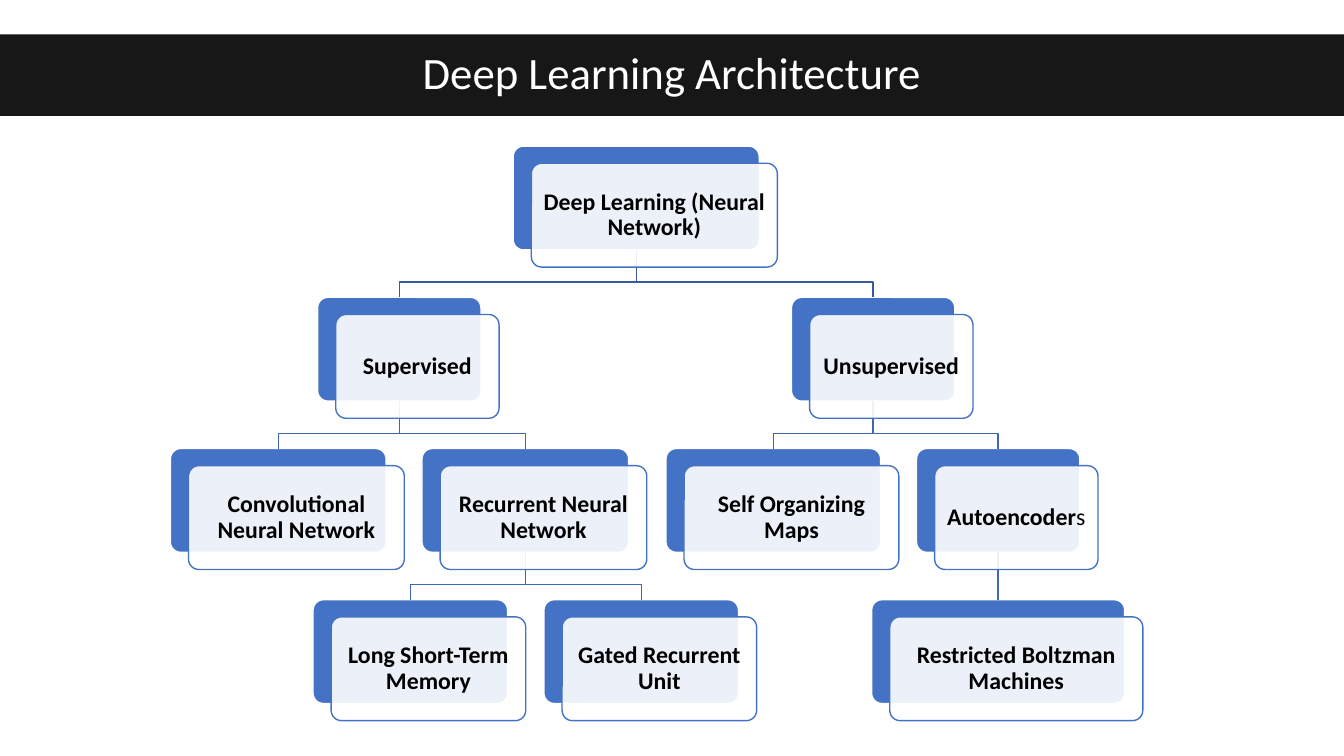
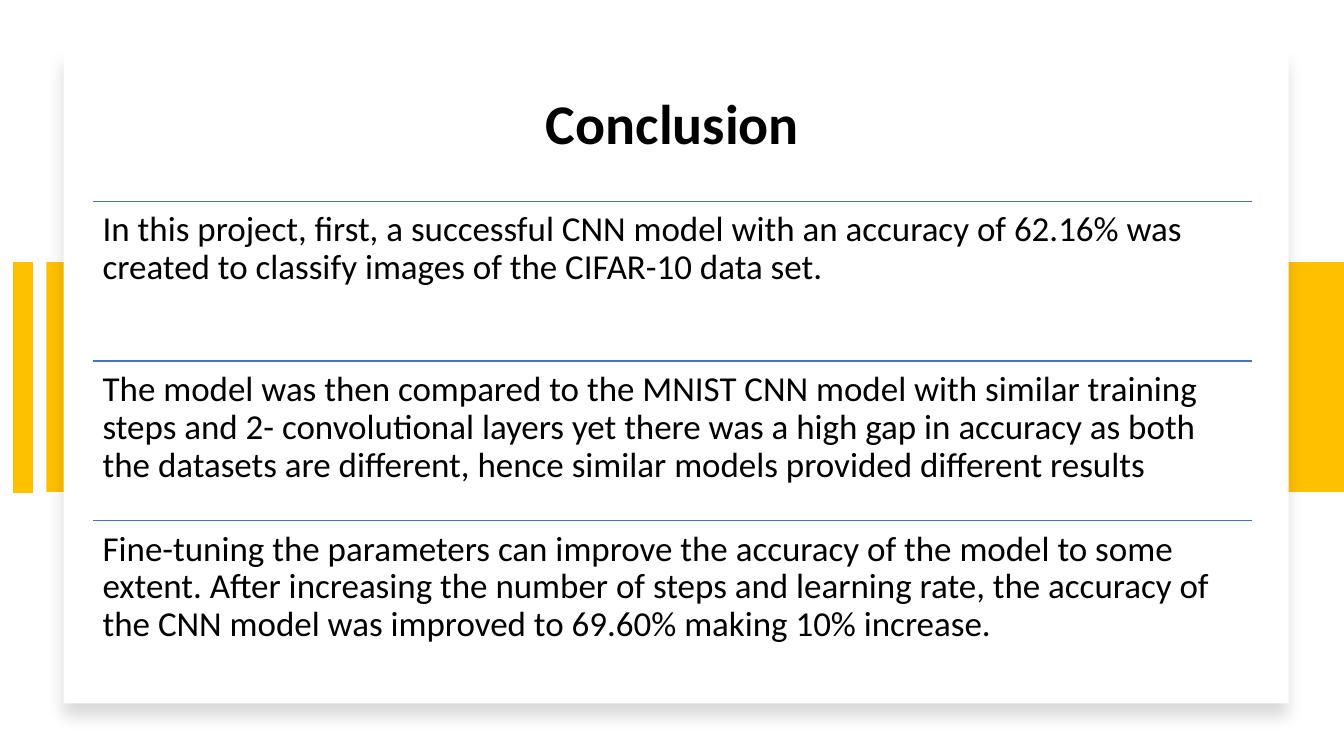
from dataclasses import dataclass

from lxml.etree import SubElement
from pptx import Presentation
from pptx.dml.color import RGBColor
from pptx.enum.shapes import MSO_CONNECTOR as CONNECTOR, MSO_SHAPE as SHAPE
from pptx.enum.text import MSO_ANCHOR as ANCHOR, MSO_AUTO_SIZE as AUTO_SIZE, PP_ALIGN as ALIGN
from pptx.oxml.ns import qn
from pptx.util import Inches, Pt

FONT = "Calibri"
BLACK, WHITE, BLUE, GOLD, CHARCOAL = "000000", "FFFFFF", "4472C4", "FFC000", "181717"
ROOT_LINK, LINK = "365B9D", "3E67B2"
TREE_TOP, LEVEL_STEP, CARD_HEIGHT = 1.45, 1.5, 1.03
LINK_DROP = 0.32
FRONT_DX, FRONT_DY = 0.18, 0.17
ROWS_LEFT, ROWS_TOP, ROWS_WIDTH, ROWS_HEIGHT = 0.92, 2, 11.5, 4.75


@dataclass
class Node:
    """A card of the tree, placed by its centre and level."""
    text: str
    centre: float
    level: int
    width: float
    parent: int | None = None
    plain_tail: str = ""

    @property
    def left(self):
        """Return the left edge of the back card."""
        return self.centre - self.width / 2

    @property
    def top(self):
        """Return the top edge of the back card."""
        return TREE_TOP + self.level * LEVEL_STEP


NODES = [
    Node("Deep Learning (Neural Network)", 6.31, 0, 2.44),
    Node("Supervised", 3.96, 1, 1.62, 0),
    Node("Unsupervised", 8.66, 1, 1.62, 0),
    Node("Convolutional Neural Network", 2.76, 2, 2.14, 1),
    Node("Recurrent Neural Network", 5.21, 2, 2.05, 1),
    Node("Self Organizing Maps", 7.67, 2, 2.13, 2),
    Node("Autoencoder", 9.9, 2, 1.62, 2, "s"),
    Node("Long Short-Term Memory", 4.07, 3, 1.93, 4),
    Node("Gated Recurrent Unit", 6.36, 3, 1.93, 4),
    Node("Restricted Boltzman Machines", 9.9, 3, 2.51, 6),
]

CONCLUSIONS = [
    "In this project, first, a successful CNN model with an accuracy of 62.16% was "
    "created to classify images of the CIFAR-10 data set.",
    "The model was then compared to the MNIST CNN model with similar training steps "
    "and 2- convolutional layers yet there was a high gap in accuracy as both the "
    "datasets are different, hence similar models provided different results",
    "Fine-tuning the parameters can improve the accuracy of the model to some extent. "
    "After increasing the number of steps and learning rate, the accuracy of the CNN "
    "model was improved to 69.60% making 10% increase.",
]


def rgb(value):
    """Turn a hex string into a colour."""
    return RGBColor.from_string(value)


def paint(target, color):
    """Give a shape a solid fill."""
    target.fill.solid()
    target.fill.fore_color.rgb = rgb(color)


def outline(target, color, width=1):
    """Give a shape or connector a solid line."""
    target.line.color.rgb = rgb(color)
    target.line.width = Pt(width)


def style(para, size, color=BLACK, bold=None, align=ALIGN.LEFT):
    """Format a whole paragraph."""
    para.alignment = align
    para.line_spacing = 0.9
    font = para.font
    font.name, font.size, font.bold = FONT, Pt(size), bold
    font.color.rgb = rgb(color)


def set_margins(frame, margin):
    """Use one margin on all four sides of a text frame."""
    frame.margin_left = frame.margin_right = Inches(margin)
    frame.margin_top = frame.margin_bottom = Inches(margin)


def add_box(page, kind, left, top, width, height, fill, line=None):
    """Add a filled shape without a shadow."""
    box = page.shapes.add_shape(kind, Inches(left), Inches(top), Inches(width), Inches(height))
    box.shadow.inherit = False
    paint(box, fill)
    if line:
        outline(box, line)
    else:
        box.line.fill.background()
    return box


def add_line(page, start, end, color, width=1):
    """Add a straight connector without a shadow."""
    line = page.shapes.add_connector(CONNECTOR.STRAIGHT, *map(Inches, start + end))
    outline(line, color, width)
    SubElement(line.element.spPr, qn("a:effectLst"))
    return line


def add_soft_shadow(box):
    """Add a faint shadow below a shape."""
    effects = box.element.spPr.find(qn("a:effectLst"))
    shadow = SubElement(effects, qn("a:outerShdw"), blurRad=str(Pt(11)), dist=str(Pt(10)),
                        dir="5400000", algn="t", rotWithShape="0")
    color = SubElement(shadow, qn("a:srgbClr"), val=BLACK)
    SubElement(color, qn("a:alpha"), val="15000")


def set_title(page, text, left, top, width, height, size, color, bold=None):
    """Place and format the title in front of everything drawn so far."""
    title = page.shapes.title
    title.left, title.top = Inches(left), Inches(top)
    title.width, title.height = Inches(width), Inches(height)
    frame = title.text_frame
    frame.text = text
    frame.auto_size = AUTO_SIZE.NONE
    frame.vertical_anchor = ANCHOR.MIDDLE
    style(frame.paragraphs[0], size, color, bold, ALIGN.CENTER)
    title.element.getparent().append(title.element)
    return title


def add_card_box(page, node, dx, dy, fill, line):
    """Add one rounded layer of a tree card."""
    box = add_box(page, SHAPE.ROUNDED_RECTANGLE, node.left + dx, node.top + dy,
                  node.width, CARD_HEIGHT, fill, line)
    box.adjustments[0] = 0.1
    return box


def add_front_card(page, node):
    """Add the translucent card that carries the label."""
    card = add_card_box(page, node, FRONT_DX, FRONT_DY, WHITE, BLUE)
    color = card.element.spPr.find(qn("a:solidFill")).find(qn("a:srgbClr"))
    SubElement(color, qn("a:alpha"), val="90000")
    frame = card.text_frame
    frame.word_wrap = True
    frame.vertical_anchor = ANCHOR.MIDDLE
    set_margins(frame, 0.07)
    para = frame.paragraphs[0]
    para.add_run().text = node.text
    style(para, 17, bold=True, align=ALIGN.CENTER)
    if node.plain_tail:
        span = para.add_run()
        span.text = node.plain_tail
        span.font.bold = False


def add_link(page, parent, child, parent_box, child_box):
    """Join a parent card to a child, with an elbow where they are not aligned."""
    color = LINK if parent.level else ROOT_LINK
    bottom = parent.top + CARD_HEIGHT
    if parent.centre == child.centre:
        line = add_line(page, (parent.centre, bottom), (child.centre, child.top), color)
        line.begin_connect(parent_box, 2)
        line.end_connect(child_box, 0)
        return
    bend = bottom + LINK_DROP
    points = [(parent.centre, bend), (child.centre, bend), (child.centre, child.top)]
    builder = page.shapes.build_freeform(Inches(parent.centre), Inches(bottom))
    builder.add_line_segments([(Inches(x), Inches(y)) for x, y in points], close=False)
    elbow = builder.convert_to_shape()
    elbow.shadow.inherit = False
    elbow.fill.background()
    outline(elbow, color)


def add_statement(page, text, top, height):
    """Add a ruled row of text."""
    add_line(page, (ROWS_LEFT, top), (ROWS_LEFT + ROWS_WIDTH, top), BLUE)
    box = page.shapes.add_textbox(Inches(ROWS_LEFT), Inches(top),
                                  Inches(ROWS_WIDTH), Inches(height))
    frame = box.text_frame
    frame.word_wrap = True
    set_margins(frame, 0.1)
    frame.text = text
    style(frame.paragraphs[0], 25)


def build_architecture(page):
    """Build the tree of network types."""
    backs = [add_card_box(page, node, 0, 0, BLUE, WHITE) for node in NODES]
    for node, back in zip(NODES, backs):
        if node.parent is not None:
            add_link(page, NODES[node.parent], node, backs[node.parent], back)
    for node in NODES:
        add_front_card(page, node)
    title = set_title(page, "Deep Learning Architecture", 0, 0.34, 13.33, 0.81, 32, WHITE)
    paint(title, CHARCOAL)


def build_conclusion(page):
    """Build the closing statements on a raised panel."""
    add_box(page, SHAPE.RECTANGLE, 0.46, 2.6, 12.87, 2.28, GOLD)
    add_line(page, (0.23, 2.6), (0.23, 4.89), GOLD, 14)
    panel = add_box(page, SHAPE.RECTANGLE, 0.63, 0.51, 12.15, 6.47, WHITE)
    add_soft_shadow(panel)
    set_title(page, "Conclusion", ROWS_LEFT, 0.74, ROWS_WIDTH, 1.03, 40, BLACK, True)
    height = ROWS_HEIGHT / len(CONCLUSIONS)
    for index, text in enumerate(CONCLUSIONS):
        add_statement(page, text, ROWS_TOP + index * height, height)


def main():
    """Build and save the deck."""
    deck = Presentation()
    deck.slide_width, deck.slide_height = Inches(13.33), Inches(7.5)
    for build in (build_architecture, build_conclusion):
        build(deck.slides.add_slide(deck.slide_layouts[5]))
    deck.save("out.pptx")


if __name__ == "__main__":
    main()
